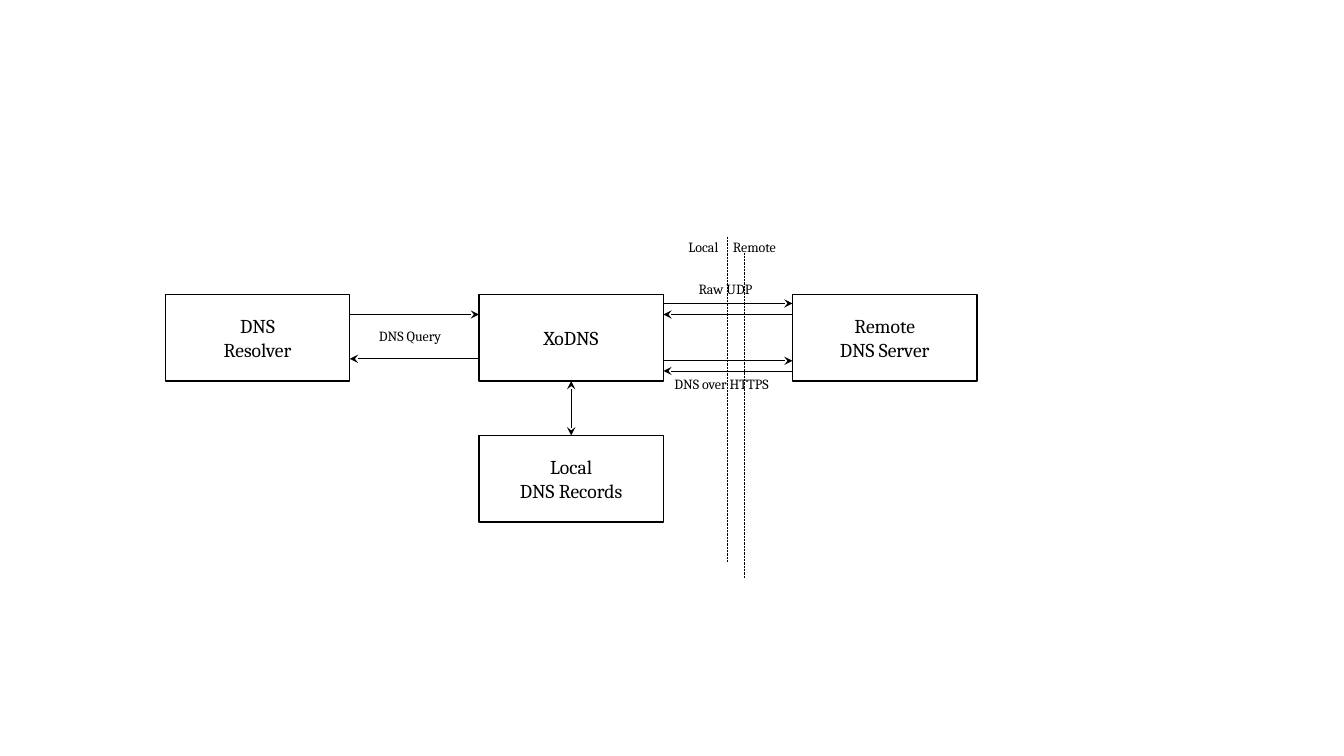
import pptx
import pptx.util
import pptx.dml.color
import pptx.enum.dml
import pptx.enum.shapes
import pptx.enum.text
from dataclasses import dataclass
from lxml import etree
from pptx.util import Inches


@dataclass(frozen=True)
class Theme:
    """Colours, font and sizes in points."""
    ink: str = "000000"
    paper: str = "FFFFFF"
    font: str = "Cambria"
    box_size: int = 14
    label_size: int = 10
    border: float = 1
    stroke: float = 0.5


THEME = Theme()

# Nodes: column, row, lines of text
NODES = [
    (0, 0, ["DNS", "Resolver"]),
    (1, 0, ["XoDNS"]),
    (1, 1, ["Local", "DNS Records"]),
    (2, 0, ["Remote", "DNS Server"]),
]
# Horizontal arrows: column they leave, column they reach, height on the slide
ARROWS = [
    (0, 1, 3.12), (1, 0, 3.56),
    (1, 2, 3.01), (2, 1, 3.12),
    (1, 2, 3.58), (2, 1, 3.68),
]
# Labels: text, left, top, width
LABELS = [
    ("DNS Query", 3.66, 3.2, 0.89),
    ("Raw UDP", 6.83, 2.73, 0.79),
    ("DNS over HTTPS", 6.59, 3.68, 1.25),
    ("Local", 6.73, 2.32, 0.53),
    ("Remote", 7.17, 2.32, 0.67),
]
# Dotted boundary between local and remote: x, top
BOUNDARIES = [(7.21, 2.35), (7.38, 2.51)]
BOUNDARY_HEIGHT = 3.23

LEFT, TOP = 1.64, 2.92
BOX_WIDTH, BOX_HEIGHT = 1.83, 0.86
COLUMN_STEP, ROW_STEP = 3.11, 1.4
LABEL_HEIGHT = 0.27


def rgb(code):
    """Turn a hex code into a colour."""
    return pptx.dml.color.RGBColor.from_string(code)


def column_left(column):
    """Left edge of a column of boxes."""
    return LEFT + column * COLUMN_STEP


def write(frame, lines, size, align):
    """Write each line as a paragraph with one run."""
    for index, line in enumerate(lines):
        para = frame.add_paragraph() if index else frame.paragraphs[0]
        para.alignment = align
        span = para.add_run()
        span.text = line
        span.font.name = THEME.font
        span.font.size = pptx.util.Pt(size)
        span.font.color.rgb = rgb(THEME.ink)


def add_node(page, column, row, lines):
    """Draw an outlined box with centred text."""
    box = page.shapes.add_shape(
        pptx.enum.shapes.MSO_SHAPE.RECTANGLE,
        Inches(column_left(column)), Inches(TOP + row * ROW_STEP),
        Inches(BOX_WIDTH), Inches(BOX_HEIGHT))
    box.shadow.inherit = False
    box.fill.solid()
    box.fill.fore_color.rgb = rgb(THEME.paper)
    box.line.color.rgb = rgb(THEME.ink)
    box.line.width = pptx.util.Pt(THEME.border)
    box.text_frame.vertical_anchor = pptx.enum.text.MSO_ANCHOR.MIDDLE
    write(box.text_frame, lines, THEME.box_size, pptx.enum.text.PP_ALIGN.CENTER)


def add_line(page, start, end, ends=(), dash=None):
    """Draw a thin line; ends lists the XML names of its arrowheads."""
    line = page.shapes.add_connector(
        pptx.enum.shapes.MSO_CONNECTOR.STRAIGHT,
        *(Inches(value) for value in (*start, *end)))
    line.line.color.rgb = rgb(THEME.ink)
    line.line.width = pptx.util.Pt(THEME.stroke)
    if dash:
        line.line.dash_style = dash
    properties = line.line._get_or_add_ln()
    for end_name in ends:
        etree.SubElement(properties, pptx.oxml.ns.qn("a:" + end_name), type="stealth")
    etree.SubElement(properties.getparent(), pptx.oxml.ns.qn("a:effectLst"))


def add_arrow(page, source, target, y):
    """Join the facing sides of two neighbouring boxes at height y."""
    start, end = column_left(source), column_left(target)
    if source < target:
        start += BOX_WIDTH
    else:
        end += BOX_WIDTH
    add_line(page, (start, y), (end, y), ["tailEnd"])


def add_label(page, text, left, top, width):
    """Place a small one-line label."""
    box = page.shapes.add_textbox(
        Inches(left), Inches(top), Inches(width), Inches(LABEL_HEIGHT))
    box.text_frame.word_wrap = False
    box.text_frame.auto_size = pptx.enum.text.MSO_AUTO_SIZE.SHAPE_TO_FIT_TEXT
    write(box.text_frame, [text], THEME.label_size, pptx.enum.text.PP_ALIGN.LEFT)


def build():
    """Assemble and save the slide."""
    deck = pptx.Presentation()
    deck.slide_width, deck.slide_height = Inches(13.33), Inches(7.5)
    page = deck.slides.add_slide(deck.slide_layouts[6])
    for node in NODES:
        add_node(page, *node)
    for arrow in ARROWS:
        add_arrow(page, *arrow)
    middle = column_left(1) + BOX_WIDTH / 2
    add_line(page, (middle, TOP + BOX_HEIGHT), (middle, TOP + ROW_STEP),
             ["headEnd", "tailEnd"])
    for x, top in BOUNDARIES:
        add_line(page, (x, top), (x, top + BOUNDARY_HEIGHT),
                 dash=pptx.enum.dml.MSO_LINE.ROUND_DOT)
    for label in LABELS:
        add_label(page, *label)
    deck.save("out.pptx")


build()
